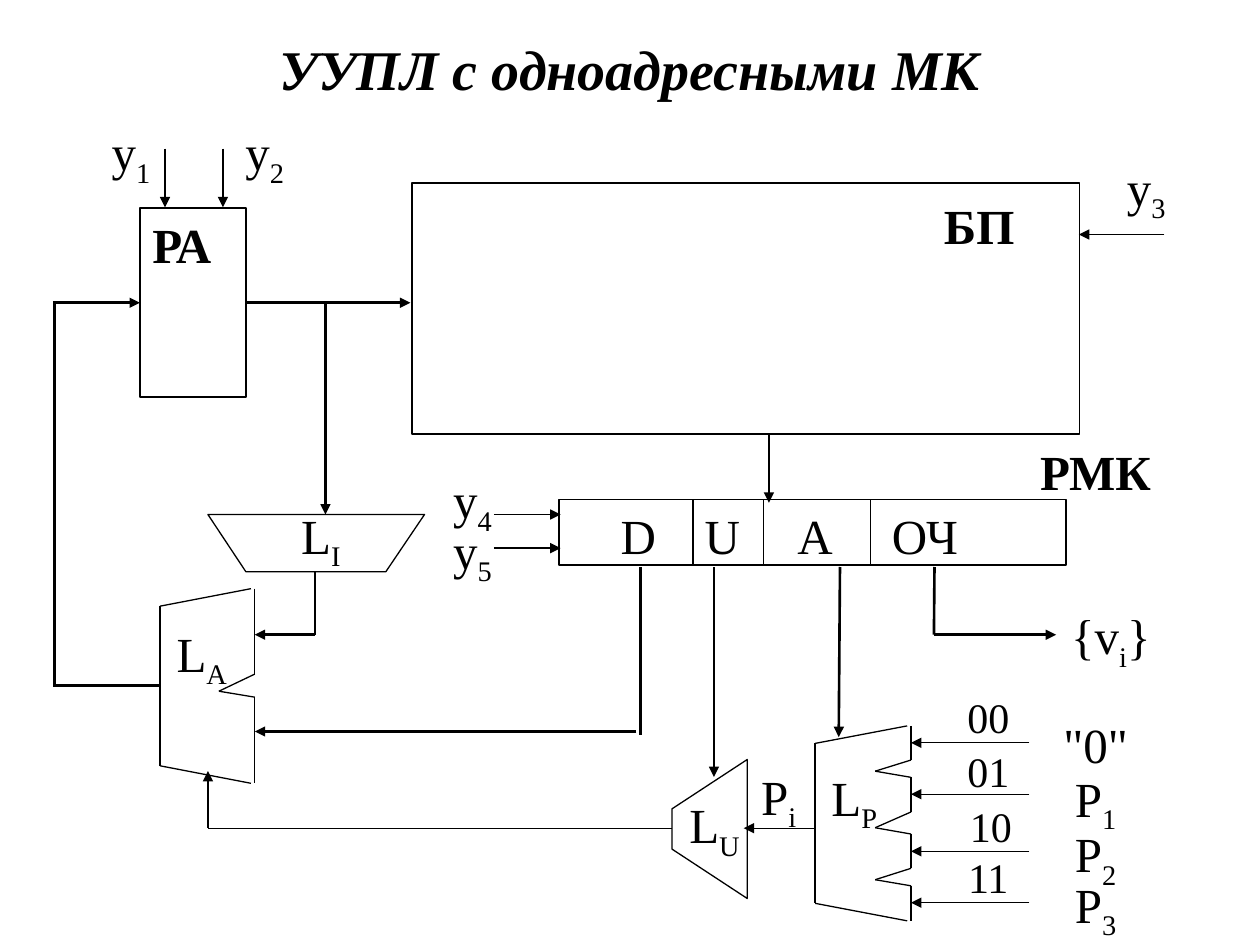
from lxml import etree
from pptx import Presentation
from pptx.dml.color import RGBColor
from pptx.enum.shapes import MSO_CONNECTOR, MSO_SHAPE
from pptx.enum.text import MSO_ANCHOR, PP_ALIGN
from pptx.oxml.ns import qn
from pptx.util import Pt

STRAIGHT = MSO_CONNECTOR.STRAIGHT
RECT = MSO_SHAPE.RECTANGLE
TOP, MIDDLE = MSO_ANCHOR.TOP, MSO_ANCHOR.MIDDLE
LEFT, CENTER = PP_ALIGN.LEFT, PP_ALIGN.CENTER
LEFT_SIDE, RIGHT_SIDE = 1, 3
THIN, MEDIUM, THICK = 0.75, 1, 1.5


def rgb(value):
    return RGBColor.from_string(value)


def write(tf, text, size=28, color="000000", font="Times New Roman", bold=False,
          italic=False, align=CENTER, anchor=TOP, inset=7.2, tabs=()):
    """Write one paragraph; an underscore makes the next character a subscript."""
    tf.word_wrap = True
    tf.vertical_anchor = anchor
    tf.margin_left, tf.margin_right = Pt(inset), Pt(7.2)
    tf.margin_top = tf.margin_bottom = Pt(3.6)
    p = tf.paragraphs[0]
    p.alignment = align
    if tabs:
        tab_list = etree.SubElement(p._p.get_or_add_pPr(), qn("a:tabLst"))
        for pos in tabs:
            etree.SubElement(tab_list, qn("a:tab"), pos=str(Pt(pos)), algn="l")
    first, *rest = text.split("_")
    pieces = [(first, False)]
    for part in rest:
        pieces += [(part[0], True), (part[1:], False)]
    for piece, subscript in pieces:
        if not piece:
            continue
        r = p.add_run()
        r.text = piece
        r.font.name, r.font.size = font, Pt(size)
        r.font.bold, r.font.italic = bold, italic
        r.font.color.rgb = rgb(color)
        if subscript:
            r.font._element.set("baseline", "-25000")


class Diagram:
    def __init__(self, slide, ink="000000"):
        self.s = slide
        self.ink = ink

    def outline(self, sp, width):
        sp.shadow.inherit = False
        sp.fill.background()
        sp.line.color.rgb = rgb(self.ink)
        sp.line.width = Pt(width)
        return sp

    def rect(self, x, y, w, h, text="", **fmt):
        sp = self.s.shapes.add_shape(RECT, Pt(x), Pt(y), Pt(w), Pt(h))
        if text:
            write(sp.text_frame, text, align=LEFT, **fmt)
        return self.outline(sp, MEDIUM)

    def polygon(self, *points):
        start, *others = [(Pt(x), Pt(y)) for x, y in points]
        builder = self.s.shapes.build_freeform(*start)
        builder.add_line_segments(others, close=True)
        return self.outline(builder.convert_to_shape(), THIN)

    def label(self, x, y, w, h, text, **fmt):
        sp = self.s.shapes.add_textbox(Pt(x), Pt(y), Pt(w), Pt(h))
        write(sp.text_frame, text, **fmt)

    def line(self, x1, y1, x2, y2, width=THIN, arrow=False):
        c = self.s.shapes.add_connector(STRAIGHT, Pt(x1), Pt(y1), Pt(x2), Pt(y2))
        c.line.color.rgb = rgb(self.ink)
        c.line.width = Pt(width)
        if arrow:
            etree.SubElement(c.line._get_or_add_ln(), qn("a:tailEnd"), type="triangle")
        etree.SubElement(c._element.spPr, qn("a:effectLst"))
        return c

    def arrow(self, x1, y1, x2, y2, width=THIN):
        return self.line(x1, y1, x2, y2, width, arrow=True)

    def mux(self, left, right, top, bottom, notches):
        """Multiplexer open at the right, notched between its inputs."""
        self.line(left, top + 10, left, bottom - 10)
        self.line(right - 2.2, top, left, top + 10)
        self.line(right - 2.2, bottom, left, bottom - 10)
        y = top
        for upper, tip, lower in notches:
            self.line(right, y, right, upper)
            self.line(right, upper, right - 20.5, tip)
            self.line(right, lower, right - 20.5, tip)
            y = lower
        self.line(right, y, right, bottom)


def main():
    prs = Presentation()
    prs.slide_width, prs.slide_height = Pt(720), Pt(540)
    d = Diagram(prs.slides.add_slide(prs.slide_layouts[6]))

    # Title
    d.label(54, 18, 612, 42, "УУПЛ с одноадресными МК",
            size=32, bold=True, italic=True, anchor=MIDDLE)

    # Address register and microprogram memory
    address = d.rect(80, 119, 60.5, 108, "РА", bold=True)
    d.rect(235.4, 104.5, 381.5, 143.5)
    d.label(503, 108, 113, 39, "БП", bold=True)
    d.arrow(140.5, 173, 234.5, 173, THICK).begin_connect(address, RIGHT_SIDE)
    for x in (94.3, 127.4):
        d.arrow(x, 85, x, 118.5)
    d.arrow(665.3, 134, 616.5, 134)

    # Microinstruction register with its fields
    d.rect(319.5, 285.4, 289.5, 37.5, "D\tU\tA\tОЧ", inset=35.2, tabs=(48, 101, 155))
    for x in (396, 436.2, 497.5):
        d.line(x, 285.4, x, 322.9)
    d.label(569.5, 248.5, 113, 39, "РМК", bold=True)
    d.arrow(439.4, 248, 439.4, 287.3, THICK)
    for y in (294, 313.2):
        d.arrow(282.2, y, 320.4, y)

    # Increment block and address multiplexer
    d.polygon((118.8, 294), (242.6, 294), (220.5, 326.7), (140.5, 326.7))
    d.mux(91.4, 145.6, 336.4, 447.6, [(385.2, 395, 398.4)])
    d.arrow(186, 173, 186, 294, THICK)
    d.line(180, 326.7, 180, 362.7, THICK)
    d.arrow(180, 362.7, 145.6, 362.7, THICK)

    # Feedback to the address register
    d.line(91.4, 391.8, 30.2, 391.8, THICK)
    d.line(31, 173, 31, 391.8, THICK)
    d.arrow(30.2, 173, 80, 173, THICK).end_connect(address, LEFT_SIDE)

    # Condition multiplexer and control block
    d.mux(465.8, 520.6, 414.8, 526.2,
          [(434.3, 440.7, 444.2), (464, 473, 476.6), (496.2, 502.7, 506.2)])
    d.polygon((427, 513.4), (427, 434), (384, 462.2), (384, 485.2))
    d.arrow(465.8, 473.3, 425, 473.3)
    d.line(384, 473.3, 118.8, 473.3)
    d.arrow(118.8, 473.3, 118.8, 440.6)

    # Outputs of the register fields
    d.line(366, 324, 366, 420, THICK)
    d.arrow(363.6, 418, 145.6, 418, THICK)
    d.arrow(408, 324, 408, 444)
    d.arrow(480, 324, 479.3, 421.2, THICK)
    d.line(534, 324, 533.7, 362.7, THICK)
    d.arrow(533.7, 362.7, 603.5, 362.7, THICK)

    # Condition inputs: line, code and its position, signal and its position
    for y, code, code_x, code_y, signal, signal_y in (
            (424.5, "00", 520.5, 391.7, '"0"', 404.6),
            (453.8, "01", 520.5, 422.6, "P_1", 435.6),
            (486.5, "10", 522, 453.6, "P_2", 467.3),
            (515.8, "11", 520.5, 483.1, "P_3", 496.1)):
        d.arrow(588.2, y, 520.6, y)
        d.label(code_x, code_y, 88.5, 37.5, code, size=24)
        d.label(581.8, signal_y, 88.5, 37.5, signal)

    # Names of signals and blocks
    for x, y, w, text in (
            (39.6, 66.2, 70.5, "y_1"), (116, 66.2, 70.5, "y_2"),
            (602, 86.4, 106, "y_3"), (234.7, 265, 70.5, "y_4"),
            (234.7, 293.8, 70.5, "y_5"), (118.8, 285.1, 129, "L_I"),
            (77.8, 352.8, 75, "L_A"), (370.8, 450.7, 75, "L_U"),
            (454.3, 434.9, 67.7, "L_P"), (411.1, 434.2, 67.7, "P_i"),
            (581.8, 342.7, 106, "{v_i}")):
        d.label(x, y, w, 39, text)

    prs.save("out.pptx")


if __name__ == "__main__":
    main()
